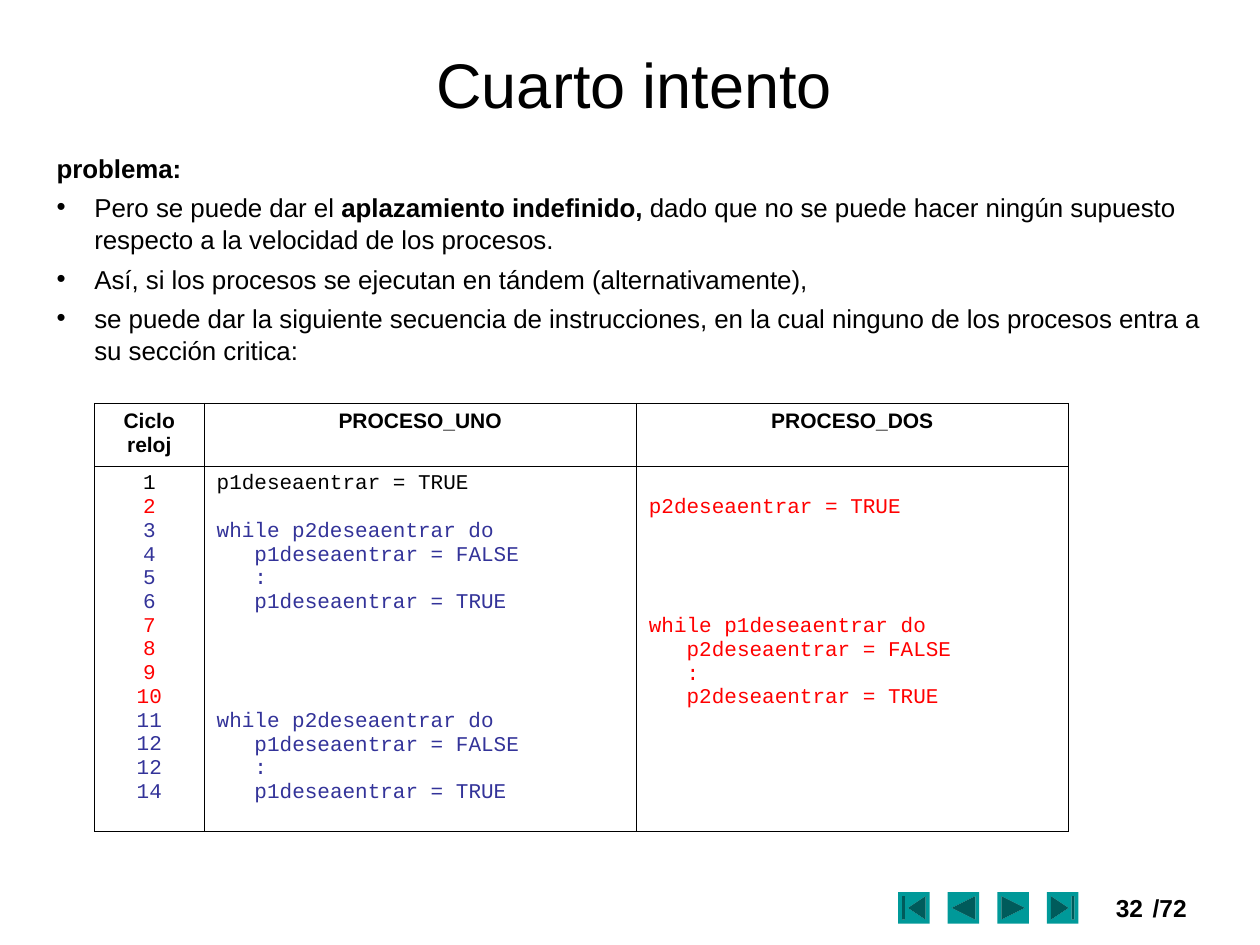
from pptx import Presentation
from pptx.dml.color import RGBColor
from pptx.enum.shapes import MSO_SHAPE as Shape
from pptx.enum.text import MSO_ANCHOR as Anchor, PP_ALIGN as Align
from pptx.oxml import parse_xml
from pptx.oxml.ns import nsdecls
from pptx.util import Pt

COLORS = {"black": "000000", "red": "FF0000", "blue": "333399", "teal": "009999"}
LINE_HEIGHT = 13.6
CODE_INDENT = 21.6


def style(para, size, color="black", font="Arial", bold=False):
    for span in para.runs:
        span.font.size = Pt(size)
        span.font.name = font
        span.font.bold = bold
        span.font.color.rgb = RGBColor.from_string(COLORS[color])


def set_indent(para, left, first=0, bullet=None):
    props = para._p.get_or_add_pPr()
    props.set("marL", str(Pt(left)))
    props.set("indent", str(Pt(first)))
    if bullet:
        props.append(parse_xml(f'<a:buFont {nsdecls("a")} typeface="Arial"/>'))
        props.append(parse_xml(f'<a:buChar {nsdecls("a")} char="{bullet}"/>'))


deck = Presentation()
deck.slide_width, deck.slide_height = Pt(720), Pt(540)
page = deck.slides.add_slide(deck.slide_layouts[5])

title = page.shapes.title
title.left, title.top, title.width, title.height = Pt(25.2), Pt(24.5), Pt(674.6), Pt(46)
frame = title.text_frame
frame.text = "Cuarto intento"
frame.vertical_anchor = Anchor.MIDDLE
frame.margin_left = frame.margin_right = frame.margin_top = frame.margin_bottom = Pt(1.44)
frame.paragraphs[0].alignment = Align.CENTER
style(frame.paragraphs[0], 36)

statements = [
    [("problema:", True)],
    [("Pero se puede dar el ", False), ("aplazamiento indefinido,", True),
     (" dado que no se puede hacer ningún supuesto respecto a la velocidad de los procesos.", False)],
    [("Así, si los procesos se ejecutan en tándem (alternativamente),", False)],
    [("se puede dar la siguiente secuencia de instrucciones, en la cual ninguno de los "
      "procesos entra a su sección critica:", False)],
]
body = page.shapes.add_textbox(Pt(25.2), Pt(82.8), Pt(668.9), Pt(130.3))
frame = body.text_frame
frame.word_wrap = True
for number, parts in enumerate(statements):
    para = frame.add_paragraph() if number else frame.paragraphs[0]
    para.space_before = Pt(4)
    para.line_spacing = 1.04
    set_indent(para, 21.6, -21.6, "•" if number else None)
    for text, _ in parts:
        para.add_run().text = text
    style(para, 14.8)
    for span, (_, bold) in zip(para.runs, parts):
        span.font.bold = bold

cycles = ["1", "2", "3", "4", "5", "6", "7", "8", "9", "10", "11", "12", "12", "14"]
cycle_colors = ["black", "red"] + ["blue"] * 4 + ["red"] * 4 + ["blue"] * 4


def loop_steps(start, own, other):
    return [(start, 0, f"while {other}deseaentrar do"),
            (start + 1, CODE_INDENT, f"{own}deseaentrar = FALSE"),
            (start + 2, CODE_INDENT, ":"),
            (start + 3, CODE_INDENT, f"{own}deseaentrar = TRUE")]


columns = [
    ("Ciclo\nreloj", 62.64, Align.CENTER, [(row, 0, text) for row, text in enumerate(cycles)]),
    ("PROCESO_UNO", 246.96, Align.LEFT,
     [(0, 0, "p1deseaentrar = TRUE")] + loop_steps(2, "p1", "p2") + loop_steps(10, "p1", "p2")),
    ("PROCESO_DOS", 246.96, Align.LEFT,
     [(1, 0, "p2deseaentrar = TRUE")] + loop_steps(6, "p2", "p1")),
]
table = page.shapes.add_table(2, 3, Pt(54), Pt(230.4), Pt(556.56), Pt(244.8)).table
table.first_row = table.horz_banding = False
table.rows[0].height, table.rows[1].height = Pt(36), Pt(208.8)

for index, (heading, width, alignment, steps) in enumerate(columns):
    table.columns[index].width = Pt(width)
    header, listing = table.cell(0, index), table.cell(1, index)
    header.text_frame.text = heading
    for para in header.text_frame.paragraphs:
        para.alignment = Align.CENTER
        style(para, 12, bold=True)

    listing.text_frame.text = "\n".join(text for _, _, text in steps)
    listing.margin_top = Pt(3.6 + steps[0][0] * LINE_HEIGHT)
    previous = steps[0][0] - 1
    for para, (row, indent, _) in zip(listing.text_frame.paragraphs, steps):
        para.alignment = alignment
        para.space_before = Pt((row - previous - 1) * LINE_HEIGHT)
        set_indent(para, indent)
        style(para, 12, cycle_colors[row], "Courier New")
        previous = row

    for cell in (header, listing):
        props = cell._tc.get_or_add_tcPr()
        for side in ("lnL", "lnR", "lnT", "lnB"):
            props.append(parse_xml(
                f'<a:{side} {nsdecls("a")} w="{Pt(0.45)}"><a:solidFill>'
                f'<a:srgbClr val="{COLORS["black"]}"/></a:solidFill></a:{side}>'))
        cell.fill.background()

buttons = [Shape.ACTION_BUTTON_BEGINNING, Shape.ACTION_BUTTON_BACK_OR_PREVIOUS,
           Shape.ACTION_BUTTON_FORWARD_OR_NEXT, Shape.ACTION_BUTTON_END]
for index, kind in enumerate(buttons):
    button = page.shapes.add_shape(kind, Pt(513.2 + 28.35 * index), Pt(509.8), Pt(18), Pt(18))
    button.shadow.inherit = False
    button.fill.solid()
    button.fill.fore_color.rgb = RGBColor.from_string(COLORS["teal"])
    button.line.fill.background()

for text, left, width, alignment in [("32", 621.4, 38.9, Align.RIGHT),
                                     ("/72", 651.6, 37.4, Align.LEFT)]:
    box = page.shapes.add_textbox(Pt(left), Pt(506.9), Pt(width), Pt(23.8))
    box.text_frame.word_wrap = True
    box.text_frame.text = text
    para = box.text_frame.paragraphs[0]
    para.alignment = alignment
    style(para, 14, bold=True)

deck.save("out.pptx")
